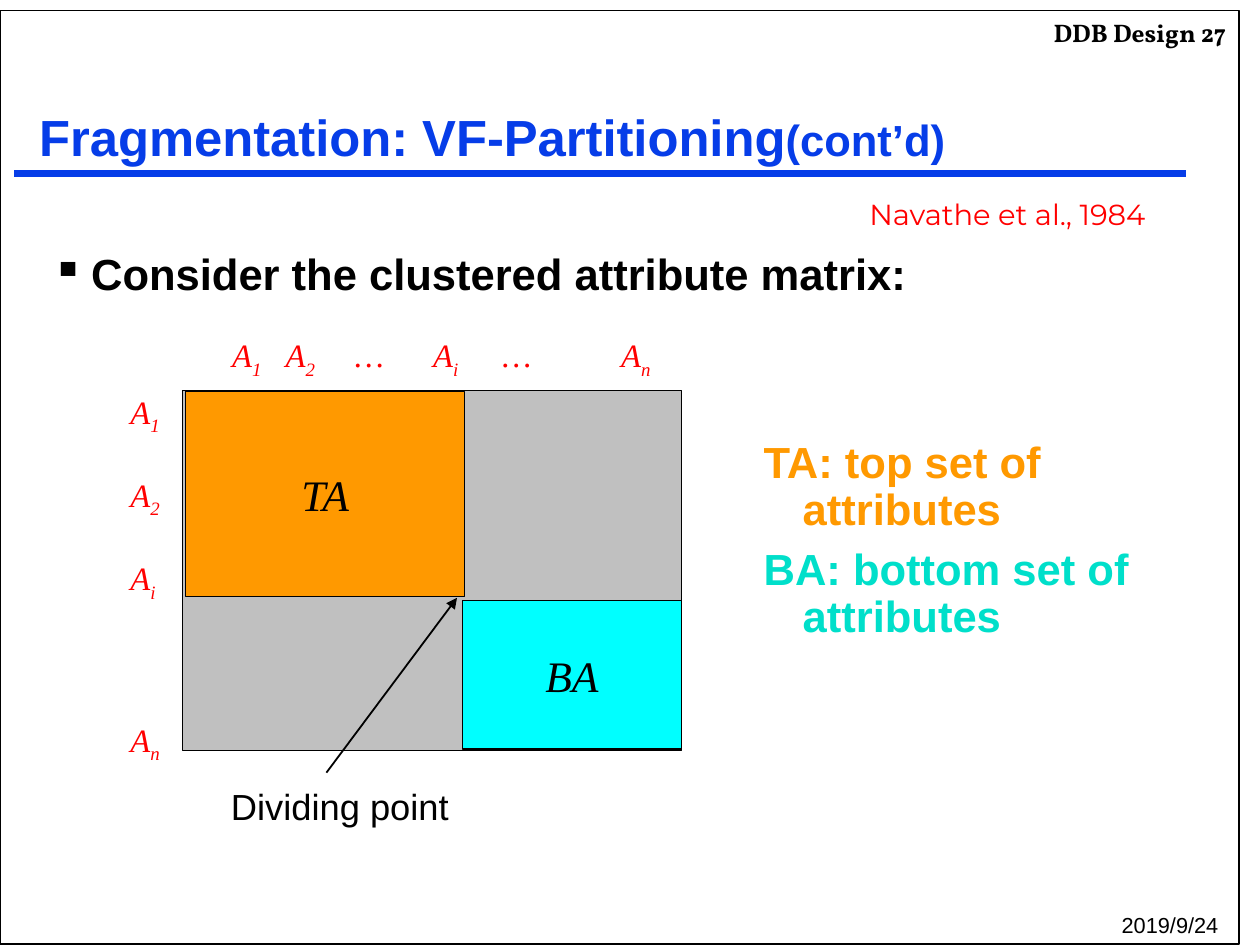
from lxml.etree import SubElement
from pptx import Presentation
from pptx.dml.color import RGBColor
from pptx.enum.shapes import MSO_CONNECTOR, MSO_SHAPE
from pptx.enum.text import MSO_ANCHOR, MSO_AUTO_SIZE, PP_ALIGN
from pptx.oxml.ns import qn
from pptx.util import Inches, Pt

BLACK = RGBColor(0x00, 0x00, 0x00)
WHITE = RGBColor(0xFF, 0xFF, 0xFF)
BLUE = RGBColor(0x06, 0x3D, 0xE8)
RED = RGBColor(0xFF, 0x00, 0x00)
GRAY = RGBColor(0xC0, 0xC0, 0xC0)
ORANGE = RGBColor(0xFF, 0x99, 0x00)
CYAN = RGBColor(0x00, 0xFF, 0xFF)
TEAL = RGBColor(0x00, 0xDF, 0xCA)

HEADING = {"name": "Arial", "size": Pt(24), "bold": True}
TITLE = HEADING | {"size": Pt(28)}
PLAIN = {"name": "Arial", "size": Pt(20)}
DATE = {"name": "Arial", "size": Pt(12)}
PAGE = {"name": "Vollkorn", "size": Pt(14), "bold": True}
CITATION = {"name": "Montserrat", "size": Pt(16)}
LABEL = {"name": "Times New Roman", "size": Pt(18), "italic": True}
BLOCK = LABEL | {"size": Pt(24)}
TIGHT = {"line_spacing": 0.9}
RIGHT = {"alignment": PP_ALIGN.RIGHT}
HANGING = Inches(0.3)


def apply(target, values):
    for name, value in values.items():
        setattr(target, name, value)


class SlideBuilder:
    def __init__(self, slide):
        self.slide = slide

    def styled_run(self, paragraph, text, style, color, subscript=False):
        run = paragraph.add_run()
        run.text = text
        apply(run.font, style)
        run.font.color.rgb = color
        if subscript:
            run._r.get_or_add_rPr().set("baseline", "-25000")

    def attribute_label(self, paragraph, subscript, lead=""):
        self.styled_run(paragraph, lead + "A", LABEL, RED)
        self.styled_run(paragraph, subscript, LABEL, RED, subscript=True)

    def title(self, box, parts):
        shape = self.slide.shapes.title
        apply(shape, dict(zip(("left", "top", "width", "height"), map(Inches, box))))
        apply(shape.text_frame, {"vertical_anchor": MSO_ANCHOR.BOTTOM, "word_wrap": True,
                                 "auto_size": MSO_AUTO_SIZE.NONE})
        paragraph = shape.text_frame.paragraphs[0]
        apply(paragraph, TIGHT | {"alignment": PP_ALIGN.LEFT})
        for text, style in parts:
            self.styled_run(paragraph, text, style, BLUE)

    def frame(self, box, wrap=True):
        text_frame = self.slide.shapes.add_textbox(*map(Inches, box)).text_frame
        text_frame.word_wrap = wrap
        return text_frame

    def text(self, box, text, style, color=BLACK, layout=TIGHT, wrap=False):
        paragraph = self.frame(box, wrap).paragraphs[0]
        apply(paragraph, layout)
        self.styled_run(paragraph, text, style, color)

    def hanging_list(self, box, items, bullet=None):
        text_frame = self.frame(box)
        for index, (text, color) in enumerate(items):
            paragraph = text_frame.add_paragraph() if index else text_frame.paragraphs[0]
            apply(paragraph, TIGHT | {"space_before": Pt(7.2 if index else 0)})
            properties = paragraph._p.get_or_add_pPr()
            properties.set("marL", str(HANGING))
            properties.set("indent", str(-HANGING))
            if bullet:
                SubElement(properties, qn("a:buChar")).set("char", bullet)
            self.styled_run(paragraph, text, HEADING, color)

    def row_labels(self, box, rows):
        text_frame = self.frame(box)
        for index, (subscript, gap) in enumerate(rows):
            paragraph = text_frame.add_paragraph() if index else text_frame.paragraphs[0]
            paragraph.space_before = Pt(gap)
            self.attribute_label(paragraph, subscript)

    def column_labels(self, box, columns):
        paragraph = self.frame(box).paragraphs[0]
        tabs = SubElement(paragraph._p.get_or_add_pPr(), qn("a:tabLst"))
        for subscript, position in columns:
            if position:
                tab = SubElement(tabs, qn("a:tab"))
                tab.set("pos", str(Inches(position)))
                tab.set("algn", "l")
            lead = "\t" if position else ""
            if subscript:
                self.attribute_label(paragraph, subscript, lead)
            else:
                self.styled_run(paragraph, lead + "…", LABEL, RED)

    def rectangle(self, box, fill, width=0.75, text=None):
        shape = self.slide.shapes.add_shape(MSO_SHAPE.RECTANGLE, *map(Inches, box))
        shape.shadow.inherit = False
        shape.fill.solid()
        shape.fill.fore_color.rgb = fill
        shape.line.color.rgb = BLACK
        shape.line.width = Pt(width)
        if text:
            apply(shape.text_frame, {"word_wrap": False, "vertical_anchor": MSO_ANCHOR.MIDDLE})
            paragraph = shape.text_frame.paragraphs[0]
            paragraph.alignment = PP_ALIGN.CENTER
            self.styled_run(paragraph, text, BLOCK, BLACK)

    def line(self, start, end, color, width, arrow=False):
        connector = self.slide.shapes.add_connector(
            MSO_CONNECTOR.STRAIGHT, *map(Inches, start + end))
        connector.line.color.rgb = color
        connector.line.width = Pt(width)
        if arrow:
            SubElement(connector.line._get_or_add_ln(), qn("a:tailEnd")).set("type", "triangle")
        SubElement(connector._element.spPr, qn("a:effectLst"))


def main():
    presentation = Presentation()
    presentation.slide_width = Inches(9.65)
    presentation.slide_height = Inches(7.24)
    builder = SlideBuilder(presentation.slides.add_slide(presentation.slide_layouts[5]))

    builder.rectangle((0, 0.08, 9.49, 7.15), WHITE, width=1)
    builder.line((0.11, 1.33), (9.08, 1.33), BLUE, 4)
    builder.text((7.84, 0.11, 1.65, 0.31), "DDB Design 27", PAGE, layout=TIGHT | RIGHT)
    builder.text((7.95, 6.94, 1.48, 0.3), "2019/9/24", DATE, layout=RIGHT, wrap=True)

    title_shape = builder.slide.shapes.title
    builder.slide.shapes._spTree.append(title_shape._element)
    builder.title((0.2, 0.12, 9.16, 1.21),
                  [("Fragmentation: VF-Partitioning", TITLE), ("(cont’d)", HEADING)])
    builder.text((6.56, 1.49, 2.66, 0.34), "Navathe et al., 1984", CITATION, RED)
    builder.hanging_list((0.3, 1.89, 9.1, 4.86),
                         [("Consider the clustered attribute matrix:", BLACK)], bullet="▪")
    builder.hanging_list((5.75, 3.33, 3.67, 1.08),
                         [("TA: top set of attributes", ORANGE),
                          ("BA: bottom set of attributes", TEAL)])

    builder.rectangle((1.4, 2.99, 3.82, 2.76), GRAY)
    builder.rectangle((1.42, 3, 2.14, 1.57), ORANGE, text="TA")
    builder.rectangle((3.54, 4.6, 1.68, 1.14), CYAN, text="BA")
    builder.row_labels((0.9, 2.95, 0.48, 2.8),
                       [("1", 0), ("2", 21.5), ("i", 21.5), ("n", 64.5)])
    builder.column_labels((1.68, 2.52, 3.54, 0.4),
                          [("1", 0), ("2", 0.41), (None, 0.94),
                           ("i", 1.54), (None, 2.07), ("n", 2.98)])
    builder.line((2.5, 5.92), (3.5, 4.58), BLACK, 1, arrow=True)
    builder.text((1.67, 6, 1.87, 0.4), "Dividing point", PLAIN)

    presentation.save("out.pptx")


if __name__ == "__main__":
    main()
